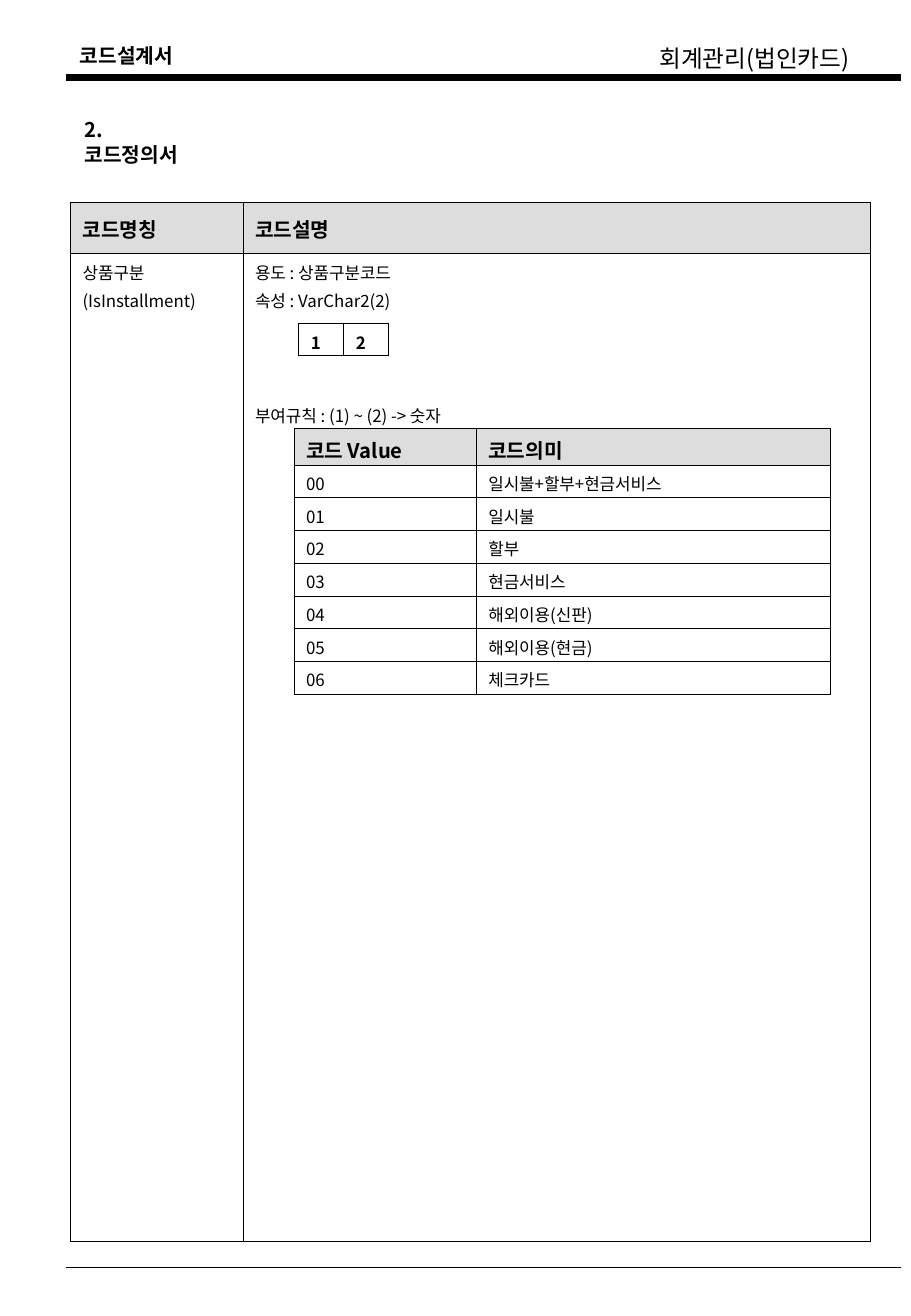
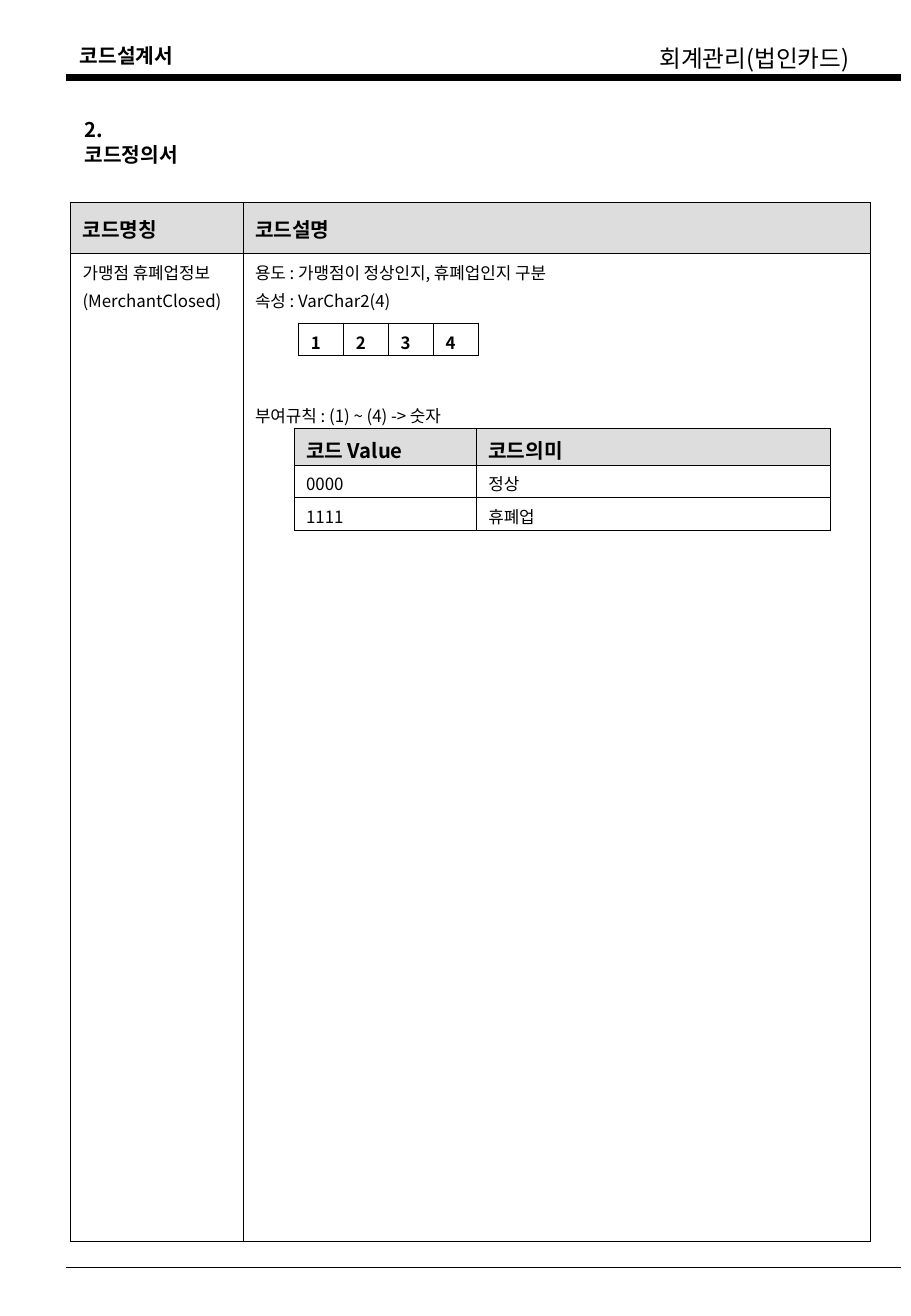
from pptx import Presentation
from pptx.dml.color import RGBColor as RGB
from pptx.enum.shapes import MSO_CONNECTOR as CONN
from pptx.enum.text import MSO_ANCHOR as ANCHOR
from pptx.oxml.ns import qn
from pptx.util import Inches, Pt
from lxml.etree import SubElement

BLACK = RGB(0x00, 0x00, 0x00)
GREY = RGB(0xDD, 0xDD, 0xDD)
FONT = "Noto Sans CJK KR"

# Text formats
BODY = {"size": Pt(10), "bold": False}
DIGIT = {"size": Pt(10), "bold": True}
HEAD = {"size": Pt(12), "bold": True}
SUBJECT = {"size": Pt(14), "bold": False}

# Grid in inches
W, H = 7.5, 10.84
RULE_LEFT, RULE_RIGHT = 0.54, 7.42
MAIN_LEFT, MAIN_TOP = 0.58, 1.67
MAIN_COLS, MAIN_ROWS = [1.42, 5.17], [0.42, 8.14]
CODE_LEFT, CODE_TOP = 2.42, 3.53
CODE_COLS, CODE_HEAD = [1.5, 2.92], 0.3
DIGIT_LEFT, DIGIT_TOP, DIGIT_COL = 2.46, 2.66, 0.37
ROW = 0.27
LINE_GAP, RULE_GAP = 2.5, 53.5  # points before a line, and before the rule line

# Running heads and section title: text, left, top, width, height, format
HEADS = [
    ("코드설계서", 0.56, 0.31, 1.4, 0.3, HEAD),
    ("회계관리(법인카드)", 5.33, 0.31, 2.1, 0.34, SUBJECT),
    ("2. 코드정의서", 0.6, 0.92, 1.1, 0.5, HEAD),
]
RULES = [(0.64, 4.5), (10.44, 1)]  # top, width in points

# Name lines, purpose, number of digits, code values
CODES = [
    (["상품구분", "(IsInstallment)"], "상품구분코드", 2,
     [("00", "일시불+할부+현금서비스"), ("01", "일시불"), ("02", "할부"),
      ("03", "현금서비스"), ("04", "해외이용(신판)"), ("05", "해외이용(현금)"),
      ("06", "체크카드")]),
    (["가맹점 휴폐업정보", "(MerchantClosed)"],
     "가맹점이 정상인지, 휴폐업인지 구분", 4,
     [("0000", "정상"), ("1111", "휴폐업")]),
]


def write(tf, lines, fmt, gaps=(0, LINE_GAP, RULE_GAP)):
    for i, line in enumerate(lines):
        p = tf.paragraphs[0] if i == 0 else tf.add_paragraph()
        p.space_before = Pt(gaps[i])
        r = p.add_run()
        r.text = line
        for key, value in {"name": FONT, **fmt}.items():
            setattr(r.font, key, value)
        r.font.color.rgb = BLACK
        SubElement(r.font._element, qn("a:ea"), typeface=FONT)


def add_grid(s, left, top, cols, rows, cells, head=True, fmt=BODY, edge=0.45, bottom=0):
    """Draw a ruled table; each cell is a list of lines."""
    tbl = s.shapes.add_table(len(rows), len(cols), Inches(left), Inches(top),
                             Inches(sum(cols)), Inches(sum(rows))).table
    tbl.first_row = tbl.horz_banding = False
    for col, width in zip(tbl.columns, cols):
        col.width = Inches(width)
    for row, height in zip(tbl.rows, rows):
        row.height = Inches(height)
    for y, line_cells in enumerate(cells):
        for x, lines in enumerate(line_cells):
            cell = tbl.cell(y, x)
            is_head = head and y == 0
            cell.margin_bottom = Inches(bottom)
            centred = is_head or not head
            cell.vertical_anchor = ANCHOR.MIDDLE if centred else ANCHOR.TOP
            write(cell.text_frame, lines, HEAD if is_head else fmt)
            # Borders: the outer edge may be heavier
            outer = {"L": x == 0, "R": x == len(cols) - 1,
                     "T": y == 0, "B": y == len(rows) - 1}
            tcPr = cell._tc.get_or_add_tcPr()
            for side, is_edge in outer.items():
                ln = SubElement(tcPr, qn(f"a:ln{side}"),
                                w=str(int(Pt(edge if is_edge else 0.45))))
                fill = SubElement(ln, qn("a:solidFill"))
                SubElement(fill, qn("a:srgbClr"), val=str(BLACK))
            if is_head:
                cell.fill.solid()
                cell.fill.fore_color.rgb = GREY
            else:
                cell.fill.background()


prs = Presentation()
prs.slide_width, prs.slide_height = Inches(W), Inches(H)

for names, purpose, digits, values in CODES:
    s = prs.slides.add_slide(prs.slide_layouts[6])

    # Running heads and section title
    for text, left, top, width, height, fmt in HEADS:
        tf = s.shapes.add_textbox(*map(Inches, (left, top, width, height))).text_frame
        tf.word_wrap = True
        write(tf, [text], fmt)

    # Rules at head and foot
    for y, weight in RULES:
        rule = s.shapes.add_connector(
            CONN.STRAIGHT, *map(Inches, (RULE_LEFT, y, RULE_RIGHT, y)))
        rule.line.color.rgb = BLACK
        rule.line.width = Pt(weight)
        SubElement(rule._element.spPr, qn("a:effectLst"))

    # Definition table
    details = [f"용도 : {purpose}", f"속성 : VarChar2({digits})",
               f"부여규칙 : (1) ~ ({digits}) -> 숫자"]
    add_grid(s, MAIN_LEFT, MAIN_TOP, MAIN_COLS, MAIN_ROWS,
             [[["코드명칭"], ["코드설명"]], [names, details]], edge=0.75, bottom=0.05)

    # Code values
    table = [("코드 Value", "코드의미")] + values
    add_grid(s, CODE_LEFT, CODE_TOP, CODE_COLS, [CODE_HEAD] + [ROW] * len(values),
             [[[text] for text in line] for line in table])

    # Digit positions
    add_grid(s, DIGIT_LEFT, DIGIT_TOP, [DIGIT_COL] * digits, [ROW],
             [[[str(n + 1)] for n in range(digits)]], head=False, fmt=DIGIT)

prs.save("out.pptx")
